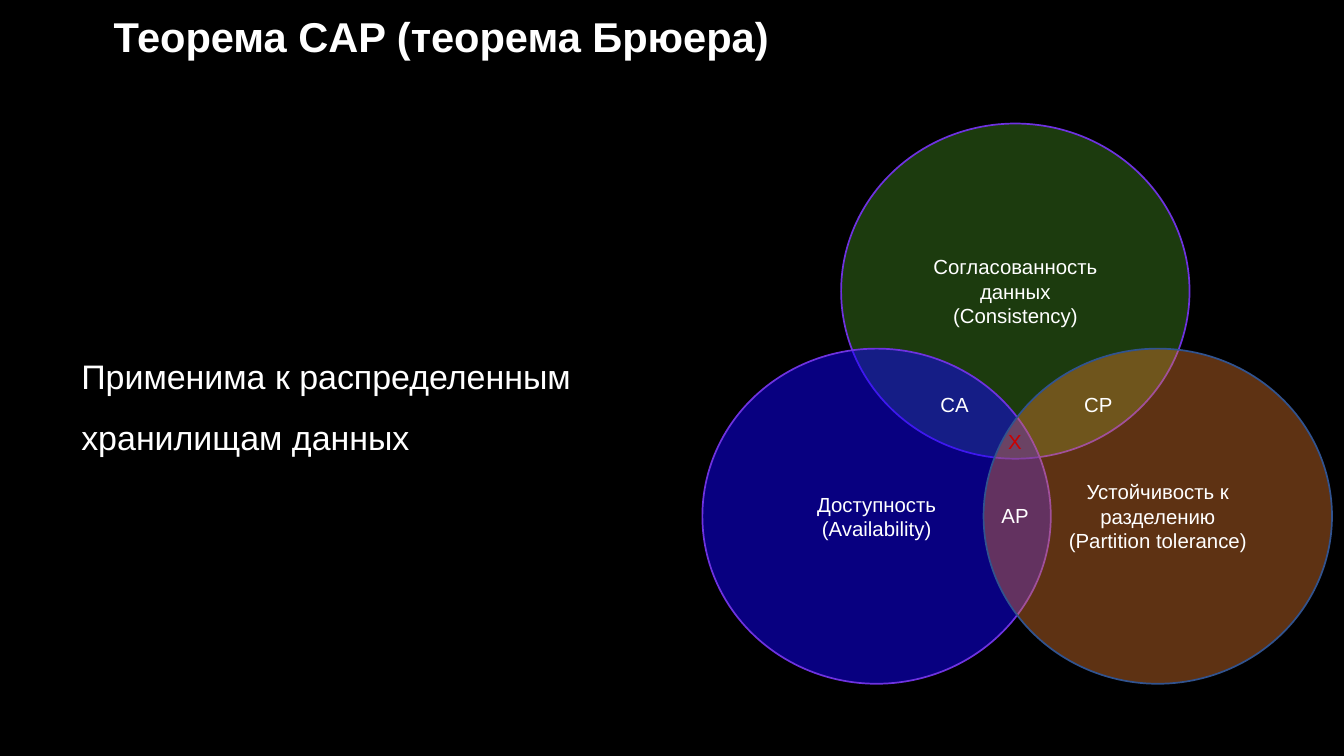
from dataclasses import dataclass

from lxml import etree
from pptx import Presentation
from pptx import util as u
from pptx.dml.color import RGBColor
from pptx.enum import shapes, text
from pptx.oxml import ns


@dataclass(frozen=True)
class Theme:
    font: str = "Arial"
    back: str = "000000"
    ink: str = "FFFFFF"
    alert: str = "CC0000"
    green: str = "38761D"
    blue: str = "1000FF"
    orange: str = "ED7D31"
    violet: str = "6E32E0"
    navy: str = "31538F"
    head: int = 49
    body: int = 40
    label: int = 24


THEME = Theme()
SIZE = 5.7, 5.48
TAG = 0.79, 0.61

# left, top, fill, opacity in percent, line, lines of text
CIRCLES = [
    (13.76, 2.02, THEME.green, 50, THEME.violet,
     "Согласованность данных\n(Consistency)"),
    (11.49, 5.7, THEME.blue, 50, THEME.violet,
     "Доступность\n(Availability)"),
    (16.09, 5.7, THEME.orange, 40, THEME.navy,
     "Устойчивость к разделению\n(Partition tolerance)"),
]

# left, top, text, colour
TAGS = [
    (15.22, 6.31, "CA", THEME.ink),
    (17.57, 6.31, "CP", THEME.ink),
    (16.21, 8.13, "AP", THEME.ink),
    (16.21, 6.91, "X", THEME.alert),
]


def inches(*sizes):
    return [u.Inches(size) for size in sizes]


def write(shape, words, size, color=THEME.ink, bold=False,
          align=text.PP_ALIGN.CENTER, anchor=text.MSO_ANCHOR.MIDDLE,
          inset=(0.1, 0.05), spacing=1.0):
    """Set the text of a shape and format all of it alike."""
    frame = shape.text_frame
    frame.text = words
    frame.word_wrap = True
    frame.auto_size = text.MSO_AUTO_SIZE.NONE
    frame.vertical_anchor = anchor
    frame.margin_left = frame.margin_right = u.Inches(inset[0])
    frame.margin_top = frame.margin_bottom = u.Inches(inset[1])
    for para in frame.paragraphs:
        para.alignment = align
        para.line_spacing = spacing
        for run in para.runs:
            font = run.font
            font.name, font.size, font.bold = THEME.font, u.Pt(size), bold
            font.color.rgb = RGBColor.from_string(color)


def add_title(slide, words):
    title = slide.shapes.title
    title.left, title.top, title.width, title.height = inches(
        1.86, 0.18, 18.19, 0.83)
    write(title, words, THEME.head, bold=True, align=text.PP_ALIGN.LEFT,
          anchor=text.MSO_ANCHOR.TOP, inset=(0, 0))


def add_note(slide, words):
    box = slide.shapes.add_textbox(*inches(1.33, 5.48, 9.68, 2.27))
    write(box, words, THEME.body, align=text.PP_ALIGN.LEFT,
          anchor=text.MSO_ANCHOR.TOP, inset=(0, 0), spacing=1.5)


def add_circle(slide, left, top, fill, alpha, line, words):
    oval = slide.shapes.add_shape(
        shapes.MSO_SHAPE.OVAL, *inches(left, top, *SIZE))
    oval.shadow.inherit = False
    oval.fill.solid()
    oval.fill.fore_color.rgb = RGBColor.from_string(fill)
    color = oval.fill._xPr.find(ns.qn("a:solidFill"))[0]
    etree.SubElement(color, ns.qn("a:alpha"), val=str(alpha * 1000))
    oval.line.color.rgb = RGBColor.from_string(line)
    oval.line.width = u.Pt(2)
    write(oval, words, THEME.label)


def add_tag(slide, left, top, words, color):
    box = slide.shapes.add_textbox(*inches(left, top, *TAG))
    write(box, words, THEME.label, color,
          anchor=text.MSO_ANCHOR.TOP, inset=(0.1, 0.1))


def main():
    deck = Presentation()
    # The page is a whole number of points, about 21.99 by 12.36 inches
    deck.slide_width, deck.slide_height = u.Pt(1583), u.Pt(890)
    slide = deck.slides.add_slide(deck.slide_layouts.get_by_name("Title Only"))
    fill = slide.background.fill
    fill.solid()
    fill.fore_color.rgb = RGBColor.from_string(THEME.back)

    add_title(slide, "Теорема CAP (теорема Брюера)")
    for circle in CIRCLES:
        add_circle(slide, *circle)
    for tag in TAGS:
        add_tag(slide, *tag)
    add_note(slide, "Применима к распределенным хранилищам данных")
    deck.save("out.pptx")


if __name__ == "__main__":
    main()
